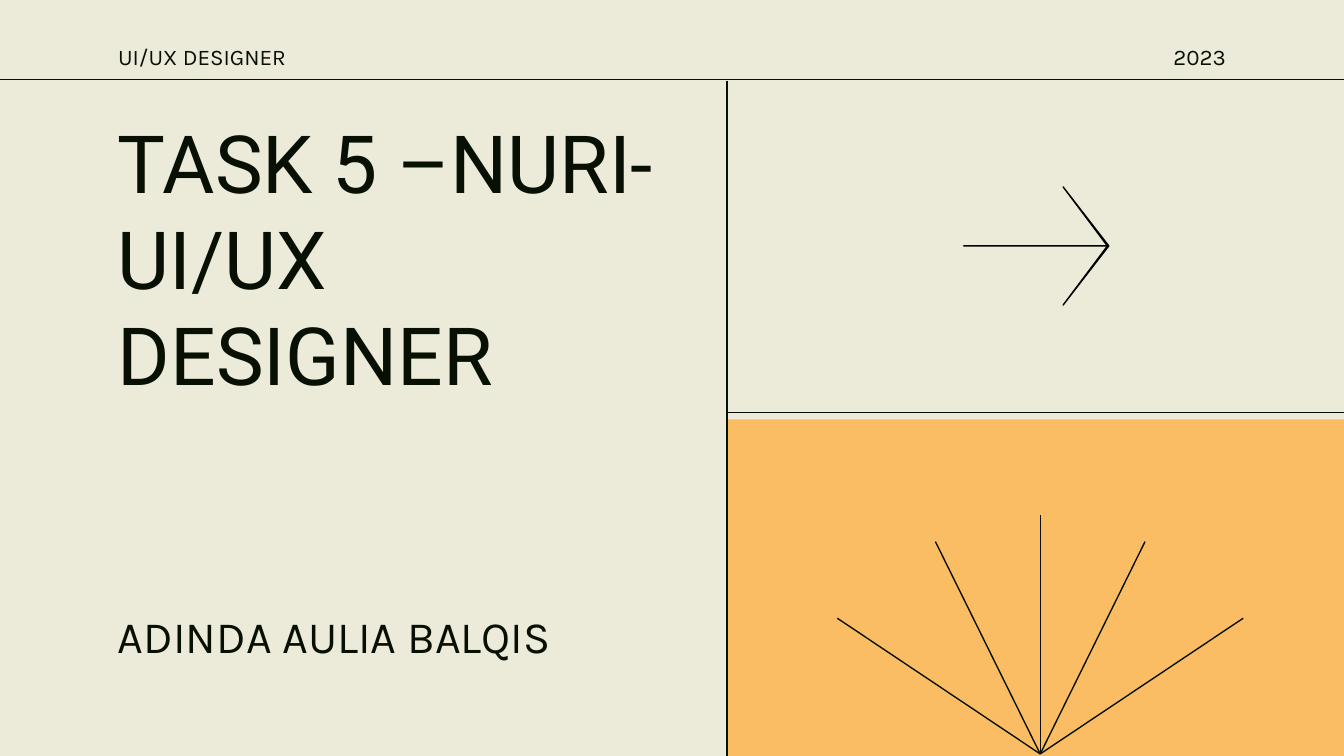
from dataclasses import dataclass

from lxml import etree
from pptx import Presentation
from pptx.dml.color import RGBColor
from pptx.enum import shapes, text
from pptx.oxml import ns
from pptx.slide import Slide
from pptx.util import Inches, Pt

CREAM = RGBColor(0xEC, 0xEB, 0xDA)
INK = RGBColor(0x08, 0x10, 0x04)
ORANGE = RGBColor(0xFA, 0xBD, 0x63)
BLACK = RGBColor(0, 0, 0)

LINE_WIDTH = Pt(0.75)
MARGIN = 0.78
DIVIDER_X = 5.41
SLIDE_WIDTH = 10
SLIDE_HEIGHT = SLIDE_WIDTH * 9 / 16


@dataclass
class Line:
    x1: float
    y1: float
    x2: float
    y2: float


HEADER_LINE = Line(-0.01, 0.59, SLIDE_WIDTH, 0.59)
DIVIDERS = [
    Line(DIVIDER_X, 0.6, DIVIDER_X, SLIDE_HEIGHT),
    Line(DIVIDER_X, 3.07, SLIDE_WIDTH, 3.07),
]
FAN_X, FAN_Y = 7.74, 5.61
RAY_OFFSETS = [(0, 1.78), (1.51, 1.01), (0.78, 1.58), (-1.51, 1.01), (-0.78, 1.58)]
ARROW_POINTS = [(7.91, 1.39), (8.24, 1.83), (7.17, 1.83),
                (8.24, 1.83), (7.91, 2.27), (8.25, 1.83)]


def add_text(slide: Slide, content: str, *, left: float, top: float,
             width: float, height: float, size: float, font: str = "Karla",
             anchor=text.MSO_ANCHOR.MIDDLE, align=text.PP_ALIGN.LEFT) -> None:
    box = slide.shapes.add_textbox(Inches(left), Inches(top), Inches(width), Inches(height))
    frame = box.text_frame
    frame.word_wrap = True
    frame.vertical_anchor = anchor
    frame.margin_left = frame.margin_right = Inches(0.1)
    frame.margin_top = frame.margin_bottom = Inches(0.1)
    paragraph = frame.paragraphs[0]
    paragraph.alignment = align
    run = paragraph.add_run()
    run.text = content
    run.font.name = font
    run.font.size = Pt(size)
    run.font.color.rgb = INK


def add_line(container, line: Line) -> None:
    """Draw a thin line on a slide's or a group's shapes."""
    connector = container.add_connector(
        shapes.MSO_CONNECTOR.STRAIGHT,
        Inches(line.x1), Inches(line.y1), Inches(line.x2), Inches(line.y2))
    connector.line.color.rgb = INK
    connector.line.width = LINE_WIDTH
    etree.SubElement(connector._element.spPr, ns.qn("a:effectLst"))


def add_panel(slide: Slide) -> None:
    panel = slide.shapes.add_shape(
        shapes.MSO_SHAPE.RECTANGLE, Inches(DIVIDER_X), Inches(3.12),
        Inches(SLIDE_WIDTH - DIVIDER_X), Inches(2.55))
    panel.shadow.inherit = False
    panel.fill.solid()
    panel.fill.fore_color.rgb = ORANGE
    panel.line.fill.background()


def add_arrow(slide: Slide) -> None:
    start, *rest = [(Inches(x), Inches(y)) for x, y in ARROW_POINTS]
    builder = slide.shapes.build_freeform(*start)
    builder.add_line_segments(rest, close=True)
    arrow = builder.convert_to_shape()
    arrow.shadow.inherit = False
    arrow.fill.solid()
    arrow.fill.fore_color.rgb = BLACK
    arrow.line.color.rgb = BLACK
    arrow.line.width = LINE_WIDTH


def add_fan(slide: Slide) -> None:
    fan = slide.shapes.add_group_shape()
    for across, up in RAY_OFFSETS:
        add_line(fan.shapes, Line(FAN_X, FAN_Y, FAN_X + across, FAN_Y - up))


def main() -> None:
    presentation = Presentation()
    presentation.slide_width = Inches(SLIDE_WIDTH)
    presentation.slide_height = Inches(SLIDE_HEIGHT)
    slide = presentation.slides.add_slide(presentation.slide_layouts[6])
    slide.background.fill.solid()
    slide.background.fill.fore_color.rgb = CREAM

    add_line(slide.shapes, HEADER_LINE)
    add_text(slide, "TASK 5 –NURI- UI/UX DESIGNER", left=MARGIN, top=0.74,
             width=4.33, height=3.08, size=43, font="Roboto",
             anchor=text.MSO_ANCHOR.TOP)
    add_text(slide, "ADINDA AULIA BALQIS", left=MARGIN, top=4.58,
             width=4.33, height=0.45, size=24, anchor=text.MSO_ANCHOR.BOTTOM)
    add_panel(slide)
    add_text(slide, "UI/UX DESIGNER", left=MARGIN, top=0.25,
             width=1.81, height=0.34, size=12)
    add_text(slide, "2023", left=SLIDE_WIDTH - MARGIN - 1.81, top=0.25,
             width=1.81, height=0.34, size=12, align=text.PP_ALIGN.RIGHT)

    for divider in DIVIDERS:
        add_line(slide.shapes, divider)
    add_arrow(slide)
    add_fan(slide)
    presentation.save("out.pptx")


if __name__ == "__main__":
    main()
